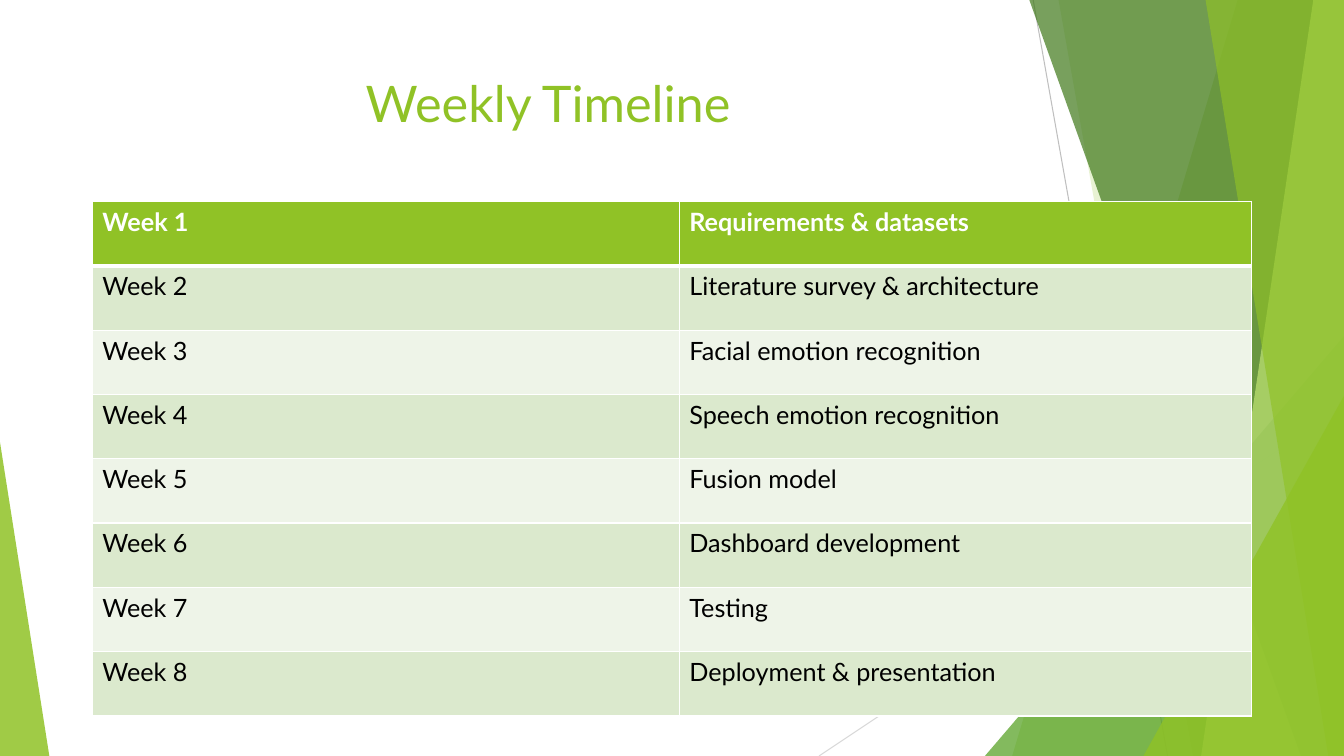
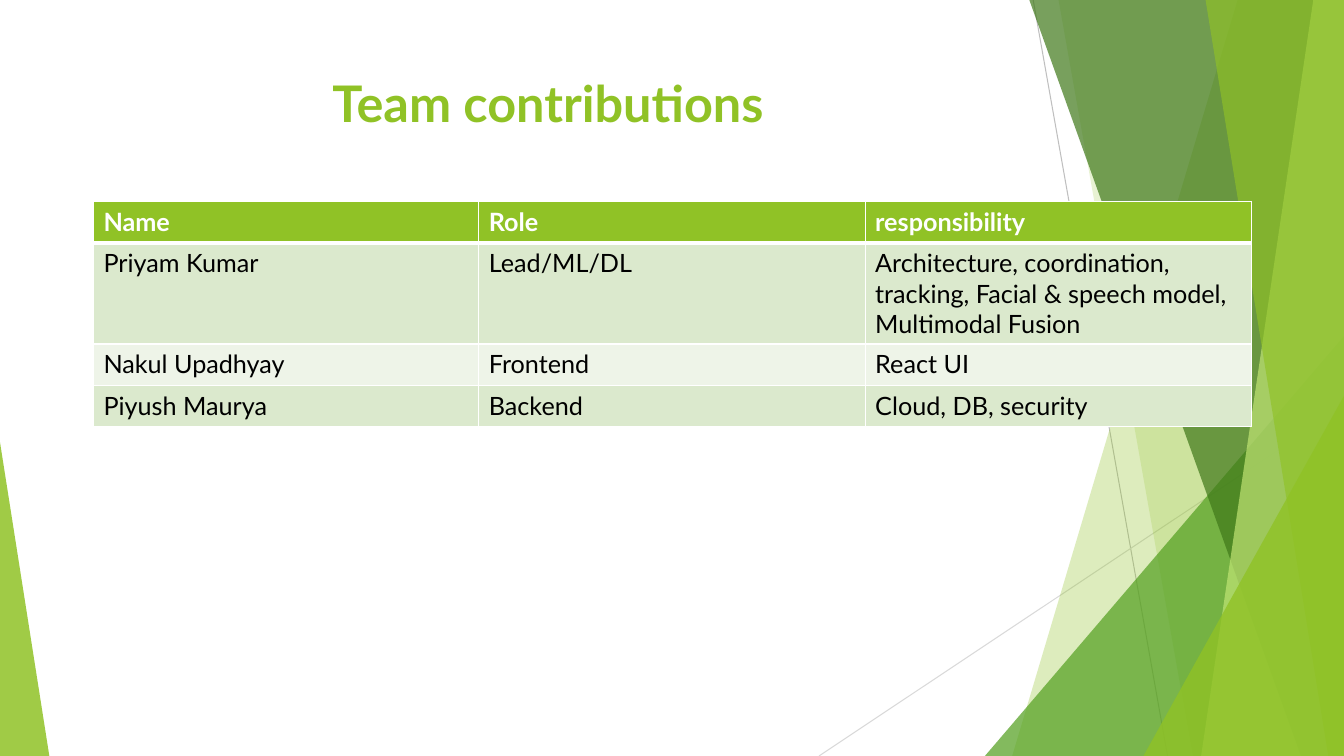
"""Build the weekly timeline and team contributions slides."""
from lxml.etree import SubElement
from pptx import Presentation
from pptx.dml.color import RGBColor
from pptx.enum.shapes import MSO_CONNECTOR as CONN, MSO_SHAPE as SHAPE
from pptx.enum.text import MSO_ANCHOR as ANCHOR, MSO_AUTO_SIZE as AUTOSIZE, PP_ALIGN as ALIGN
from pptx.oxml.ns import qn
from pptx.util import Pt

PX = 9525
WIDTH, HEIGHT = 1280, 720
GREEN = RGBColor(0x90, 0xC2, 0x26)
MID_GREEN = RGBColor(0x54, 0xA0, 0x21)
DARK_GREEN = RGBColor(0x3F, 0x78, 0x19)
LIME = RGBColor(0xC0, 0xE4, 0x74)
BAND = RGBColor(0xDB, 0xE9, 0xCD)
PALE_BAND = RGBColor(0xEE, 0xF4, 0xE8)
GREY = RGBColor(0xBF, 0xBF, 0xBF)
LIGHT_GREY = RGBColor(0xD9, 0xD9, 0xD9)
WHITE = RGBColor(0xFF, 0xFF, 0xFF)
BLACK = RGBColor(0, 0, 0)

RAYS = [((984, 0, 1112, HEIGHT), GREY), ((WIDTH, 387, 780, HEIGHT), LIGHT_GREY)]
FACETS = [
    ("sheet", (1179, 964), GREEN, 30),
    ("sheet", (1008, 1136), GREEN, 20),
    ("triangle", (938, 320, 342, 1), MID_GREEN, 72),
    ("sheet", (980, 1239), DARK_GREEN, 70),
    ("sheet", (1251, 1144), LIME, 70),
    ("sheet", (1148, 1265), GREEN, 65),
    ("triangle", (1089, 377, 191, 1), GREEN, 80),
    ("triangle", (0, 421, 47, 0), GREEN, 85),
]
TABLES = [
    {
        "title": "Weekly Timeline", "bold": False,
        "left": 88, "height": 490, "columns": [559, 545],
        "rows": [
            ("Week 1", "Requirements & datasets"),
            ("Week 2", "Literature survey & architecture"),
            ("Week 3", "Facial emotion recognition"),
            ("Week 4", "Speech emotion recognition"),
            ("Week 5", "Fusion model"),
            ("Week 6", "Dashboard development"),
            ("Week 7", "Testing"),
            ("Week 8", "Deployment & presentation"),
        ],
    },
    {
        "title": "Team contributions", "bold": True,
        "left": 89, "height": 158, "columns": [367, 368, 368],
        "rows": [
            ("Name", "Role", "responsibility"),
            ("Priyam Kumar", "Lead/ML/DL",
             "Architecture, coordination, tracking, Facial & speech model, Multimodal Fusion"),
            ("Nakul Upadhyay", "Frontend", "React UI"),
            ("Piyush Maurya", "Backend", "Cloud, DB, security"),
        ],
    },
]


def style_font(font, size, color, bold):
    for name, value in {"name": "Lato", "size": Pt(size), "bold": bold}.items():
        setattr(font, name, value)
    font.color.rgb = color


def add_border(cell, side, points):
    ln = SubElement(cell._tc.get_or_add_tcPr(), qn(f"a:ln{side}"), w=str(Pt(points)))
    fill = SubElement(ln, qn("a:solidFill"))
    SubElement(fill, qn("a:srgbClr"), val=str(WHITE))


prs = Presentation()
prs.slide_width, prs.slide_height = WIDTH * PX, HEIGHT * PX
layout = prs.slide_layouts[5]
title_box = {"left": 71, "top": 64, "width": 902, "height": 138}
for name, value in title_box.items():
    setattr(layout.placeholders[0], name, value * PX)
slides = [prs.slides.add_slide(layout) for _ in TABLES]

decor = []
shapes = slides[0].shapes
for ends, color in RAYS:
    ray = shapes.add_connector(CONN.STRAIGHT, *[v * PX for v in ends])
    ray.line.color.rgb = color
    ray.line.width = Pt(0.75)
    SubElement(ray.element.spPr, qn("a:effectLst"))
    decor.append(ray)

for kind, place, color, opacity in FACETS:
    if kind == "sheet":
        top_x, bottom_x = place
        builder = shapes.build_freeform(top_x, -1, scale=PX)
        builder.add_line_segments([(WIDTH, -1), (WIDTH, HEIGHT), (bottom_x, HEIGHT)])
        facet = builder.convert_to_shape()
    else:
        left, top, width, apex = place
        box = [v * PX for v in (left, top, width, HEIGHT - top)]
        facet = shapes.add_shape(SHAPE.ISOSCELES_TRIANGLE, *box)
        facet.adjustments[0] = apex
    facet.shadow.inherit = False
    facet.fill.solid()
    facet.fill.fore_color.rgb = color
    facet.line.fill.background()
    fill_color = facet.element.spPr.find(f"{qn('a:solidFill')}/{qn('a:srgbClr')}")
    SubElement(fill_color, qn("a:alpha"), val=str(opacity * 1000))
    decor.append(facet)

for i, shape in enumerate(decor):
    shape.element.xpath(".//p:cNvPr")[0].set("id", str(20 + i))
    layout.shapes.element.insert(2 + i, shape.element)

for s, content in zip(slides, TABLES):
    tf = s.shapes.title.text_frame
    tf.vertical_anchor = ANCHOR.TOP
    tf.auto_size = AUTOSIZE.NONE
    p = tf.paragraphs[0]
    p.alignment = ALIGN.CENTER
    r = p.add_run()
    r.text = content["title"]
    style_font(r.font, 36, GREEN, content["bold"])

    rows, columns = content["rows"], content["columns"]
    box = [v * PX for v in (content["left"], 192, sum(columns), content["height"])]
    table = s.shapes.add_table(len(rows), len(columns), *box).table
    for column, width in zip(table.columns, columns):
        column.width = width * PX
    for i, row in enumerate(rows):
        header = i == 0
        for j, text in enumerate(row):
            cell = table.cell(i, j)
            borders = {"L": 1, "R": 1, "T": 3 if i == 1 else 1, "B": 3 if header else 1}
            for side, points in borders.items():
                add_border(cell, side, points)
            cell.fill.solid()
            cell.fill.fore_color.rgb = GREEN if header else BAND if i % 2 else PALE_BAND
            r = cell.text_frame.paragraphs[0].add_run()
            r.text = text
            style_font(r.font, 18, WHITE if header else BLACK, header)

prs.save("out.pptx")
